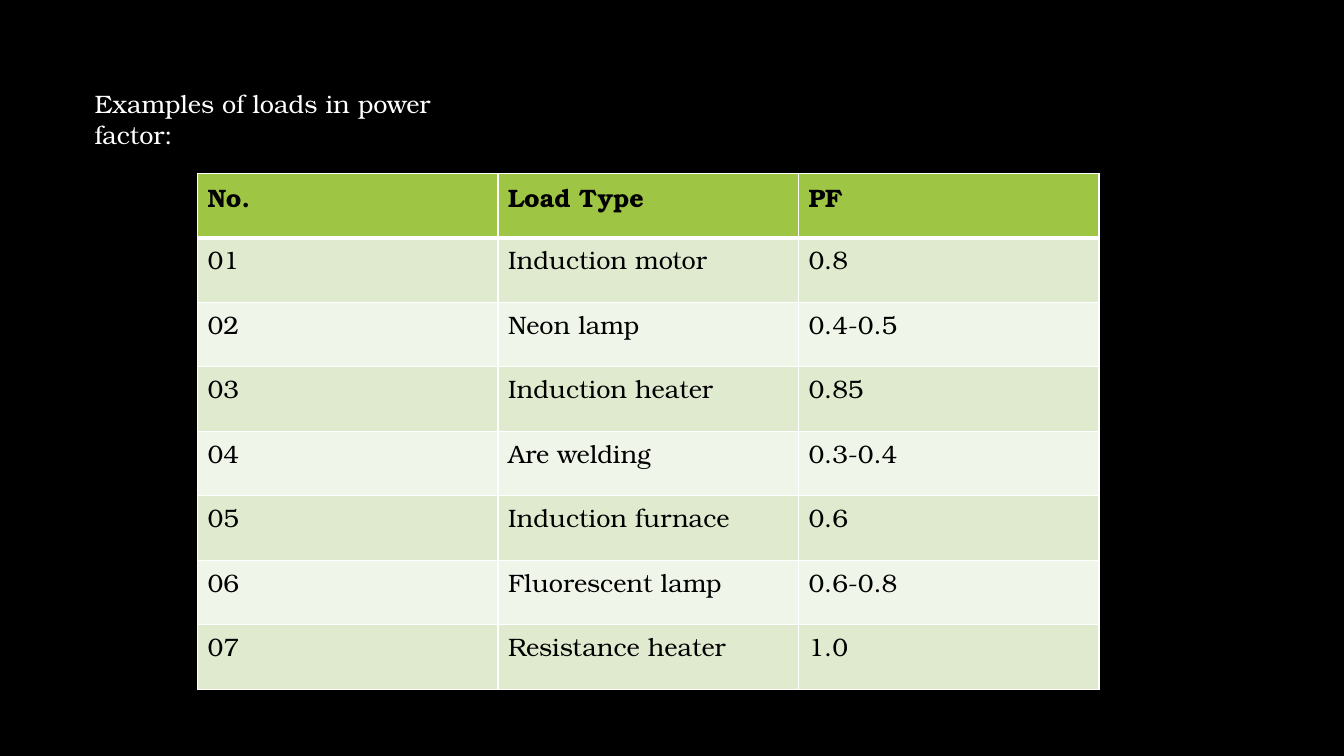
from lxml import etree
from pptx import Presentation
from pptx.dml.color import RGBColor
from pptx.oxml import ns
from pptx.util import Inches, Pt

TITLE = "Examples of loads in power factor:"
HEADER = ("No.", "Load Type", "PF")
LOADS = [
    ("Induction motor", "0.8"),
    ("Neon lamp", "0.4-0.5"),
    ("Induction heater", "0.85"),
    ("Are welding", "0.3-0.4"),
    ("Induction furnace", "0.6"),
    ("Fluorescent lamp", "0.6-0.8"),
    ("Resistance heater", "1.0"),
]
FONT = "TeX Gyre Bonum"
BLACK, WHITE = "000000", "FFFFFF"
HEADER_FILL = "9EC544"
BAND_FILLS = ("F0F5E9", "DFEACF")  # even rows, odd rows
COLUMN_WIDTH, ROW_HEIGHT = 2.98, 0.64


def color(value):
    return RGBColor.from_string(value)


def style_text(text_frame, value, bold=False):
    for paragraph in text_frame.paragraphs:
        for run in paragraph.runs:
            run.font.name = FONT
            run.font.size = Pt(18)
            run.font.bold = bold
            run.font.color.rgb = color(value)


def add_border(cell, side, points):
    properties = cell._tc.get_or_add_tcPr()
    line = etree.SubElement(properties, ns.qn(f"a:ln{side}"), w=str(Pt(points)))
    fill = etree.SubElement(line, ns.qn("a:solidFill"))
    etree.SubElement(fill, ns.qn("a:srgbClr"), val=WHITE)


presentation = Presentation()
presentation.slide_width = Inches(13.33)
presentation.slide_height = Inches(7.5)
slide = presentation.slides.add_slide(presentation.slide_layouts[6])
slide.background.fill.solid()
slide.background.fill.fore_color.rgb = color(BLACK)

# Load table
rows = [HEADER] + [(f"{number:02d}", *load) for number, load in enumerate(LOADS, 1)]
table = slide.shapes.add_table(
    len(rows), len(HEADER), Inches(1.96), Inches(1.72),
    Inches(COLUMN_WIDTH * len(HEADER)), Inches(ROW_HEIGHT * len(rows))).table
for column in table.columns:
    column.width = Inches(COLUMN_WIDTH)
for row_index, row in enumerate(rows):
    is_header = row_index == 0
    for column_index, content in enumerate(row):
        cell = table.cell(row_index, column_index)
        cell.text_frame.text = content
        style_text(cell.text_frame, BLACK, bold=is_header)
        for side in "LRTB":
            under_header = (row_index, side) in ((0, "B"), (1, "T"))
            add_border(cell, side, 3 if under_header else 1)
        cell.fill.solid()
        cell.fill.fore_color.rgb = color(
            HEADER_FILL if is_header else BAND_FILLS[row_index % 2])

# Title
title = slide.shapes.add_textbox(Inches(0.84), Inches(0.83), Inches(4.24), Inches(0.4))
title.text_frame.word_wrap = True
title.text_frame.text = TITLE
style_text(title.text_frame, WHITE)

presentation.save("out.pptx")
